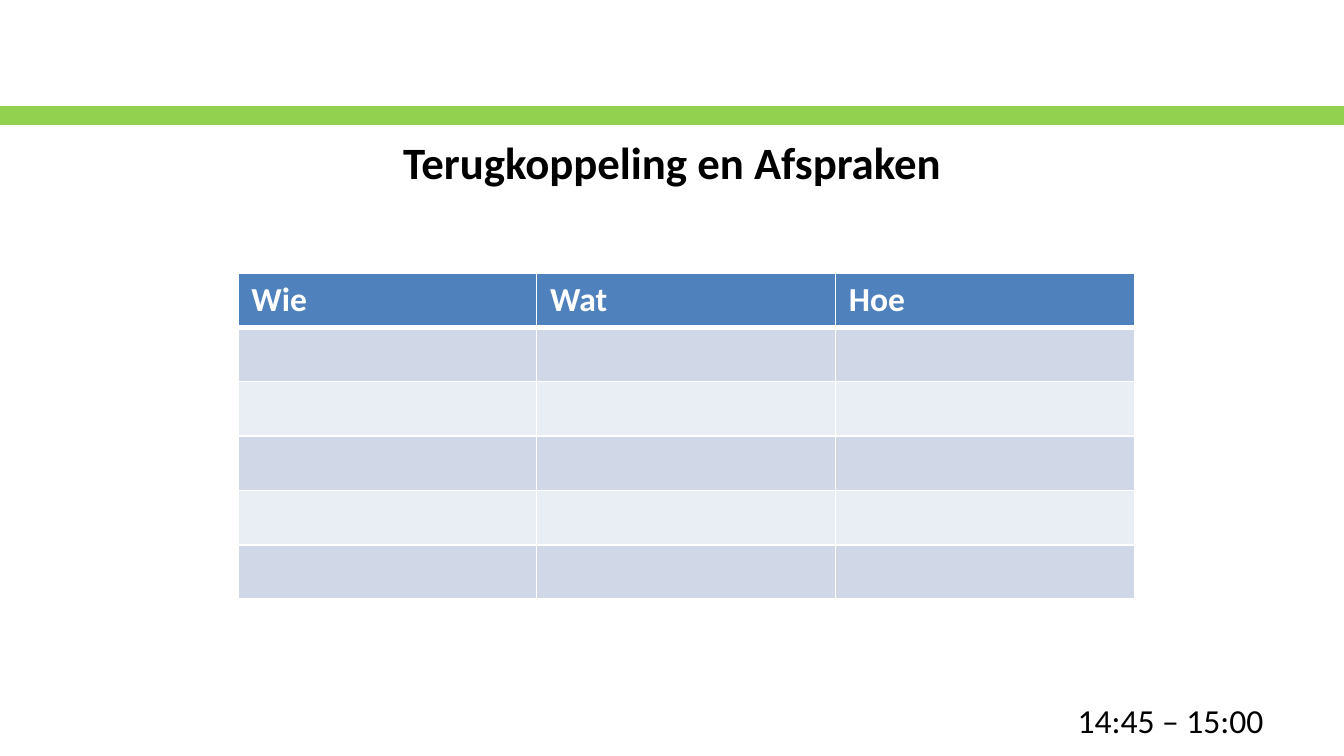
from lxml.etree import SubElement
from pptx import Presentation
from pptx.dml.color import RGBColor
from pptx.enum.shapes import MSO_SHAPE
from pptx.enum.text import MSO_ANCHOR, MSO_AUTO_SIZE, PP_ALIGN
from pptx.oxml.ns import qn
from pptx.util import Inches, Pt

TITLE = "Terugkoppeling en Afspraken"
TIME = "14:45 – 15:00"
HEADINGS = ["Wie", "Wat", "Hoe"]
EMPTY_ROWS = 5
HEADER_FILL, BAND_FILLS = "4F81BD", ["D0D8E8", "E9EDF4"]
GREEN, BLACK, WHITE = "92D050", "000000", "FFFFFF"
WIDTH = 10
HEIGHT = WIDTH * 9 / 16
TABLE_LEFT, TABLE_TOP, TABLE_WIDTH, TABLE_HEIGHT = 1.77, 2.03, 6.67, 2.43


def color(value):
    """Turn a hex string into a colour."""
    return RGBColor.from_string(value)


def add_text(para, text, size, shade, bold=False):
    """Add one formatted run to a paragraph."""
    span = para.add_run()
    span.text = text
    span.font.name = "Calibri"
    span.font.size = Pt(size)
    span.font.bold = bold
    span.font.color.rgb = color(shade)


def add_borders(cell, top, bottom):
    """Give a cell white borders of the given widths in points."""
    properties = cell._tc.get_or_add_tcPr()
    for side, width in {"L": 1, "R": 1, "T": top, "B": bottom}.items():
        line = SubElement(properties, qn(f"a:ln{side}"), w=str(Pt(width)))
        fill = SubElement(line, qn("a:solidFill"))
        SubElement(fill, qn("a:srgbClr"), val=WHITE)


def add_bar(page):
    """Draw the green bar across the slide."""
    bar = page.shapes.add_shape(MSO_SHAPE.RECTANGLE, 0, Inches(0.8), Inches(WIDTH), Inches(0.12))
    bar.shadow.inherit = False
    bar.fill.solid()
    bar.fill.fore_color.rgb = color(GREEN)
    bar.line.color.rgb = color(GREEN)
    bar.line.width = Pt(2)


def add_title(page):
    """Place the title under the bar."""
    title = page.shapes.title
    title.left, title.top = Inches(0.5), Inches(0.93)
    title.width, title.height = Inches(WIDTH - 1), Inches(0.54)
    title.text_frame.vertical_anchor = MSO_ANCHOR.MIDDLE
    para = title.text_frame.paragraphs[0]
    para.alignment = PP_ALIGN.CENTER
    add_text(para, TITLE, 24, BLACK, bold=True)


def add_time(page):
    """Place the time slot at the lower right."""
    box = page.shapes.add_textbox(Inches(7.92), Inches(5.16), Inches(1.6), Inches(0.4))
    box.text_frame.word_wrap = False
    box.text_frame.auto_size = MSO_AUTO_SIZE.SHAPE_TO_FIT_TEXT
    add_text(box.text_frame.paragraphs[0], TIME, 18, BLACK)


def add_agreements(page):
    """Build the table with a header and banded empty rows."""
    rows, columns = EMPTY_ROWS + 1, len(HEADINGS)
    table = page.shapes.add_table(
        rows, columns, Inches(TABLE_LEFT), Inches(TABLE_TOP),
        Inches(TABLE_WIDTH), Inches(TABLE_HEIGHT)).table
    for number, row in enumerate(table.rows):
        shade = BAND_FILLS[(number - 1) % 2] if number else HEADER_FILL
        for cell, heading in zip(row.cells, HEADINGS):
            add_borders(cell, top=3 if number == 1 else 1, bottom=1 if number else 3)
            cell.fill.solid()
            cell.fill.fore_color.rgb = color(shade)
            if number == 0:
                add_text(cell.text_frame.paragraphs[0], heading, 18, WHITE, bold=True)


def main():
    """Build and save the slide."""
    deck = Presentation()
    deck.slide_width, deck.slide_height = Inches(WIDTH), Inches(HEIGHT)
    page = deck.slides.add_slide(deck.slide_layouts[5])
    add_bar(page)
    add_title(page)
    add_time(page)
    add_agreements(page)
    deck.save("out.pptx")


if __name__ == "__main__":
    main()
